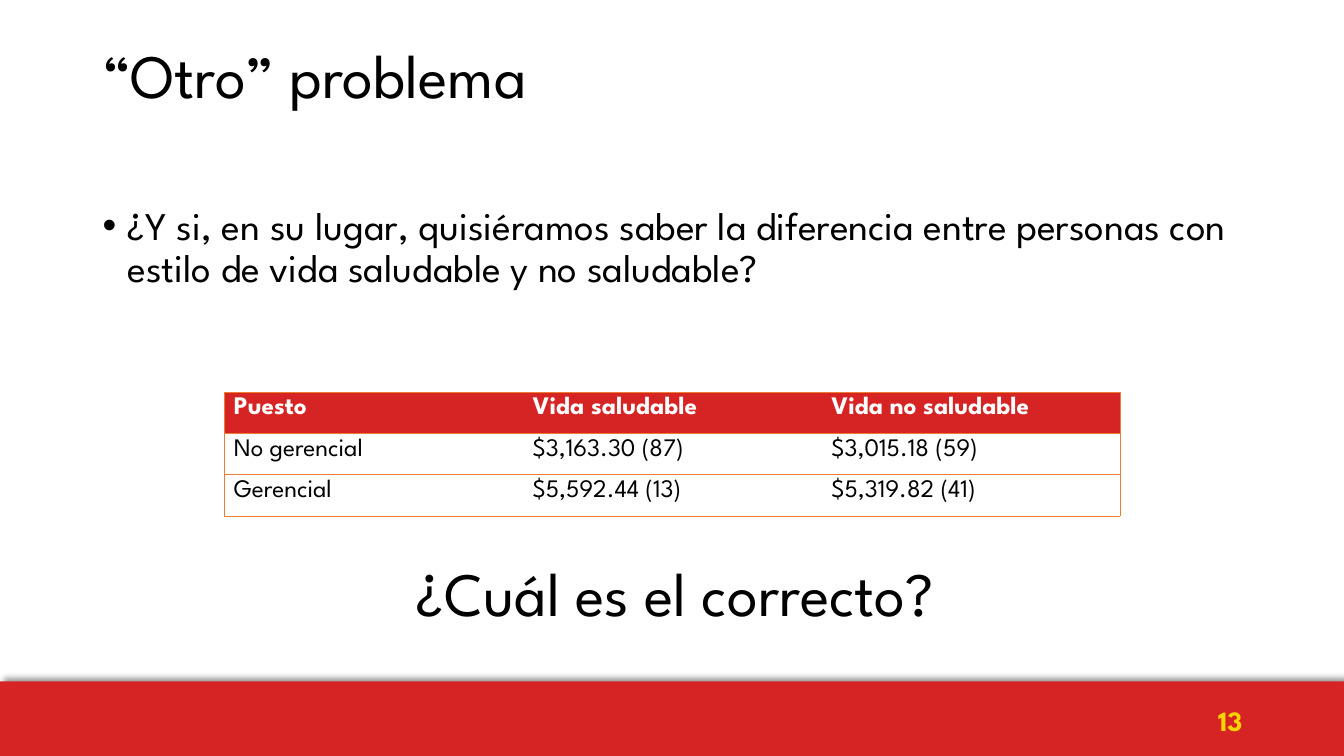
from lxml.etree import SubElement
from pptx import Presentation
from pptx.dml.color import RGBColor
from pptx.enum.shapes import MSO_SHAPE as SHAPE
from pptx.enum.text import MSO_ANCHOR as ANCHOR, PP_ALIGN as ALIGN
from pptx.oxml import parse_xml
from pptx.oxml.ns import nsdecls, qn
from pptx.util import Inches, Pt

RED, ORANGE, YELLOW = "D62424", "ED7D31", "F6D400"
BLACK, WHITE = "000000", "FFFFFF"


def rgb(value):
    return RGBColor.from_string(value)


def write(tf, text, size=18, color=BLACK, bold=False, align=ALIGN.LEFT,
          spacing=None, anchor=ANCHOR.TOP):
    tf.word_wrap = True
    tf.vertical_anchor = anchor
    p = tf.paragraphs[0]
    p.alignment = align
    p.line_spacing = spacing
    r = p.add_run()
    r.text = text
    r.font.name = "League Spartan"
    r.font.size = Pt(size)
    r.font.bold = bold
    r.font.color.rgb = rgb(color)
    return p


prs = Presentation()
prs.slide_width, prs.slide_height = Inches(13.33), Inches(7.5)
s = prs.slides.add_slide(prs.slide_layouts[6])

footer = s.shapes.add_shape(SHAPE.RECTANGLE, 0, Inches(6.76), prs.slide_width, Inches(0.74))
footer.shadow.inherit = False
footer.fill.solid()
footer.fill.fore_color.rgb = rgb(RED)
footer.line.fill.background()
effects = footer._element.spPr.find(qn("a:effectLst"))
effects.append(parse_xml(
    f'<a:outerShdw {nsdecls("a")} blurRad="{Pt(4)}" dist="{Pt(3)}" dir="18900000">'
    f'<a:srgbClr val="{BLACK}"><a:alpha val="40000"/></a:srgbClr></a:outerShdw>'))

texts = [
    ((0.92, 2, 11.5, 1.5),
     "¿Y si, en su lugar, quisiéramos saber la diferencia entre personas con "
     "estilo de vida saludable y no saludable?",
     dict(size=28, spacing=0.9)),
    ((0.92, 0.4, 11.5, 1.45), "“Otro” problema", dict(size=44, spacing=0.9)),
    ((0.95, 5.54, 11.5, 1.12), "¿Cuál es el correcto?",
     dict(size=44, spacing=0.9, align=ALIGN.CENTER)),
    ((9.42, 6.95, 3, 0.4), "13",
     dict(size=20, color=YELLOW, bold=True, align=ALIGN.RIGHT, anchor=ANCHOR.MIDDLE)),
]
paragraphs = []
for box, text, style in texts:
    sp = s.shapes.add_textbox(*map(Inches, box))
    paragraphs.append(write(sp.text_frame, text, **style))

bullet = paragraphs[0]
bullet.space_before = Pt(10)
pPr = bullet._p.get_or_add_pPr()
pPr.set("marL", str(Inches(0.25)))
pPr.set("indent", str(-Inches(0.25)))
SubElement(pPr, qn("a:buFont")).set("typeface", "Arial")
SubElement(pPr, qn("a:buChar")).set("char", "•")

rows = [
    ["Puesto", "Vida saludable", "Vida no saludable"],
    ["No gerencial", "$3,163.30 (87)", "$3,015.18 (59)"],
    ["Gerencial", "$5,592.44 (13)", "$5,319.82 (41)"],
]
table = s.shapes.add_table(3, 3, Inches(2.22), Inches(3.89), Inches(8.89), Inches(1.22)).table
for row in table.rows:
    row.height = Inches(0.41)
for i, values in enumerate(rows):
    header = i == 0
    for j, value in enumerate(values):
        cell = table.cell(i, j)
        write(cell.text_frame, value, color=WHITE if header else BLACK, bold=header)
        tcPr = cell._tc.get_or_add_tcPr()
        for side, shown in (("L", j == 0), ("R", j == 2), ("T", True), ("B", True)):
            ln = SubElement(tcPr, qn(f"a:ln{side}"), w=str(Pt(0.5)))
            if shown:
                fill = SubElement(ln, qn("a:solidFill"))
                SubElement(fill, qn("a:srgbClr"), val=ORANGE)
            else:
                SubElement(ln, qn("a:noFill"))
        if header:
            cell.fill.solid()
            cell.fill.fore_color.rgb = rgb(RED)
        else:
            cell.fill.background()

prs.save("out.pptx")
